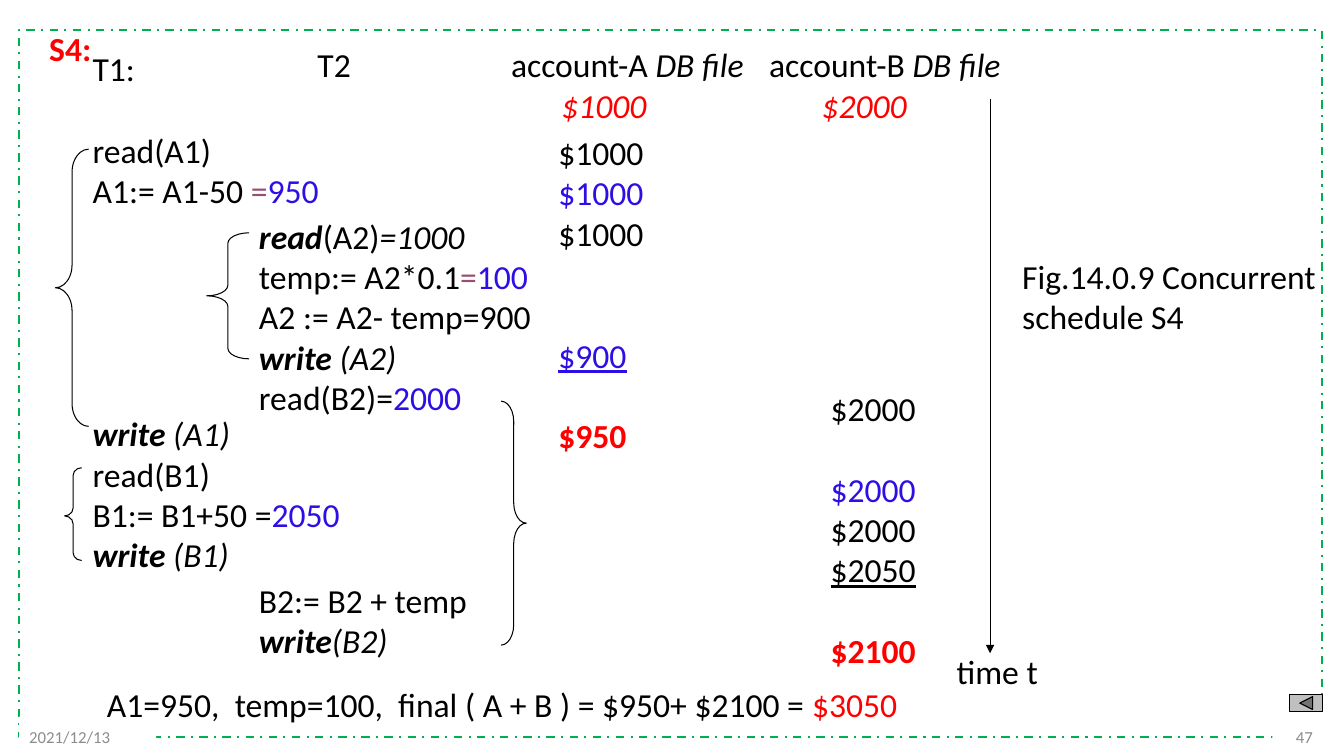
from dataclasses import dataclass

from lxml.etree import SubElement
from pptx import Presentation
from pptx.dml.color import RGBColor
from pptx.enum.dml import MSO_LINE
from pptx.enum.shapes import MSO_CONNECTOR, MSO_SHAPE
from pptx.enum.text import MSO_ANCHOR, PP_ALIGN
from pptx.oxml.ns import qn
from pptx.util import Inches, Pt


@dataclass(frozen=True)
class Theme:
    face: str = "Calibri"
    body: int = 24
    small: int = 12
    ink: str = "000000"
    red: str = "FF0000"
    blue: str = "2D0EE4"
    mauve: str = "954F72"
    grey: str = "8C8C8C"
    silver: str = "C0C0C0"
    paper: str = "FFFFFF"
    green: str = "00B050"


theme = Theme()
styles = {
    "plain": (theme.ink, ""),
    "verb": (theme.ink, "bi"),
    "italic": (theme.ink, "i"),
    "underlined": (theme.ink, "u"),
    "computed": (theme.blue, ""),
    "written": (theme.blue, "u"),
    "equals": (theme.mauve, ""),
    "result": (theme.red, ""),
    "initial": (theme.red, "i"),
    "final": (theme.red, "b"),
    "footer": (theme.grey, ""),
}


def apply_style(font, style):
    colour, marks = styles[style]
    font.color.rgb = RGBColor.from_string(colour)
    font.bold = "b" in marks
    font.italic = "i" in marks
    font.underline = "u" in marks


def add_lines(left, top, width, lines, size=theme.body, align=PP_ALIGN.LEFT):
    box = slide.shapes.add_textbox(Inches(left), Inches(top), Inches(width),
                                   Inches(0.1 + len(lines) * size / 24 * ROW))
    frame = box.text_frame
    frame.word_wrap = True
    for number, pieces in enumerate(lines):
        paragraph = frame.paragraphs[0] if number == 0 else frame.add_paragraph()
        paragraph.alignment = align
        paragraph.font.name = theme.face
        paragraph.font.size = Pt(size)
        uniform = len({style for _, style in pieces}) == 1
        for text, style in pieces:
            run = paragraph.add_run()
            run.text = text
            apply_style(paragraph.font if uniform else run.font, style)
    return box


ROW = 0.4
deck = Presentation()
deck.slide_width, deck.slide_height = Inches(13.33), Inches(7.5)
slide = deck.slides.add_slide(deck.slide_layouts[6])

border = slide.shapes.add_shape(MSO_SHAPE.RECTANGLE, Inches(0.19), Inches(0.3),
                                Inches(12.92), Inches(7.01))
border.shadow.inherit = False
border.fill.background()
border.line.color.rgb = RGBColor.from_string(theme.green)
border.line.width = Pt(1.5)
border.line.dash_style = MSO_LINE.DASH_DOT

for left, width, text, align in [(12.62, 0.5, "47", PP_ALIGN.RIGHT),
                                 (0.19, 1.36, "2021/12/13", PP_ALIGN.LEFT)]:
    footer = add_lines(left, 7.11, width, [[(text, "footer")]], theme.small, align)
    footer.height = Inches(0.4)
    footer.text_frame.vertical_anchor = MSO_ANCHOR.MIDDLE
    footer.fill.solid()
    footer.fill.fore_color.rgb = RGBColor.from_string(theme.paper)

blocks = [
    (0.39, 0.23, 0.8, [[("S4:", "final")]]),
    (0.82, 0.43, 1, [[("T1:", "plain")]]),
    (3.05, 0.39, 1, [[("T2", "plain")]]),
    (4.97, 0.39, 2.65, [[("account-A ", "plain"), ("DB file", "italic")]]),
    (7.53, 0.39, 2.65, [[("account-B ", "plain"), ("DB file", "italic")]]),
    (5.47, 0.79, 1.36, [[("$1000", "initial")]]),
    (8.05, 0.79, 1.36, [[("$2000", "initial")]]),
    (0.82, 1.24, 2.67, [
        [("read(A1)", "plain")],
        [("A1:= A1-50 ", "plain"), ("=", "equals"), ("950", "computed")],
    ]),
    (0.82, 4.05, 2.8, [
        [("write", "verb"), (" (A1)", "italic")],
        [("read(B1)", "plain")],
        [("B1:= B1+50 =", "plain"), ("2050", "computed")],
        [("write", "verb"), (" (B1)", "italic")],
    ]),
    (2.47, 2.09, 3.39, [
        [("read", "verb"), ("(A2)", "plain"), ("=1000", "italic")],
        [("temp:= A2*0.1", "plain"), ("=", "equals"), ("100", "computed")],
        [("A2 := A2- temp=900", "plain")],
        [("write", "verb"), (" (A2)", "italic")],
        [("read(B2)=", "plain"), ("2000", "computed")],
    ]),
    (2.47, 5.7, 3.39, [
        [("B2:= B2 + temp", "plain")],
        [("write", "verb"), ("(B2)", "italic")],
    ]),
    (5.44, 1.26, 1.21, [[("$1000", "plain")], [("$1000", "computed")],
                        [("$1000", "plain")]]),
    (5.44, 3.27, 1.21, [[("$900", "written")]]),
    (5.44, 4.07, 1.21, [[("$950", "final")]]),
    (8.14, 3.8, 1.36, [[("$2000", "plain")]]),
    (8.14, 4.6, 1.36, [[("$2000", "computed")], [("$2000", "plain")],
                       [("$2050", "underlined")]]),
    (8.14, 6.2, 1.36, [[("$2100", "final")]]),
    (10.04, 2.49, 3.25, [[("Fig.14.0.9 Concurrent schedule S4", "plain")]]),
    (9.39, 6.41, 1.2, [[("time t", "plain")]]),
]
for left, top, width, lines in blocks:
    add_lines(left, top, width, lines)
add_lines(0.8, 6.74, 8.36, [[
    ("A1=950,  temp=100,  final ( A + B ) = $950+ $2100 = ", "plain"),
    ("$3050", "result"),
]], align=PP_ALIGN.CENTER)

braces = [
    (MSO_SHAPE.LEFT_BRACE, 0.55, 1.48, 0.33, 2.75, 0.69, 0.5),
    (MSO_SHAPE.LEFT_BRACE, 2.05, 2.31, 0.42, 1.25, 0.25, 0.5),
    (MSO_SHAPE.LEFT_BRACE, 0.64, 4.64, 0.17, 0.92, 0.46, 0.52),
    (MSO_SHAPE.RIGHT_BRACE, 4.97, 3.98, 0.25, 2.42, 0.81, 0.5),
]
for kind, left, top, width, height, curl, tip in braces:
    brace = slide.shapes.add_shape(kind, Inches(left), Inches(top),
                                   Inches(width), Inches(height))
    brace.shadow.inherit = False
    brace.adjustments[0], brace.adjustments[1] = curl, tip
    brace.fill.background()
    brace.line.color.rgb = RGBColor.from_string(theme.ink)
    brace.line.width = Pt(0.75)

back_button = slide.shapes.add_shape(MSO_SHAPE.ACTION_BUTTON_BACK_OR_PREVIOUS,
                                     Inches(12.79), Inches(6.89),
                                     Inches(0.33), Inches(0.17))
back_button.shadow.inherit = False
back_button.fill.solid()
back_button.fill.fore_color.rgb = RGBColor.from_string(theme.silver)
back_button.line.color.rgb = RGBColor.from_string(theme.ink)
back_button.line.width = Pt(0.75)

time_axis = slide.shapes.add_connector(MSO_CONNECTOR.STRAIGHT, Inches(9.82),
                                       Inches(0.98), Inches(9.82), Inches(6.48))
time_axis.line.color.rgb = RGBColor.from_string(theme.ink)
time_axis.line.width = Pt(0.75)
SubElement(time_axis.line._get_or_add_ln(), qn("a:tailEnd"), type="triangle")
SubElement(time_axis._element.spPr, qn("a:effectLst"))

deck.save("out.pptx")
